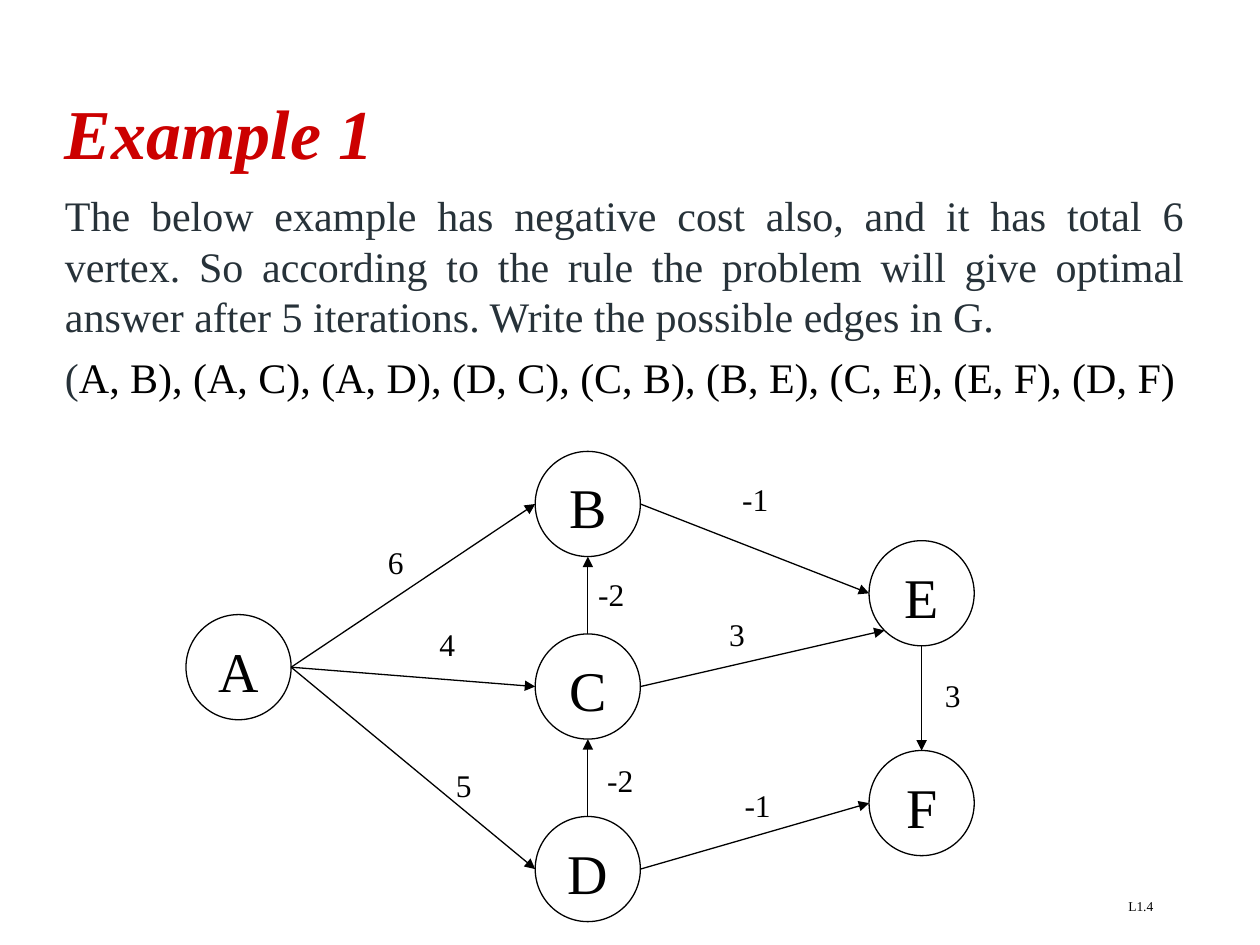
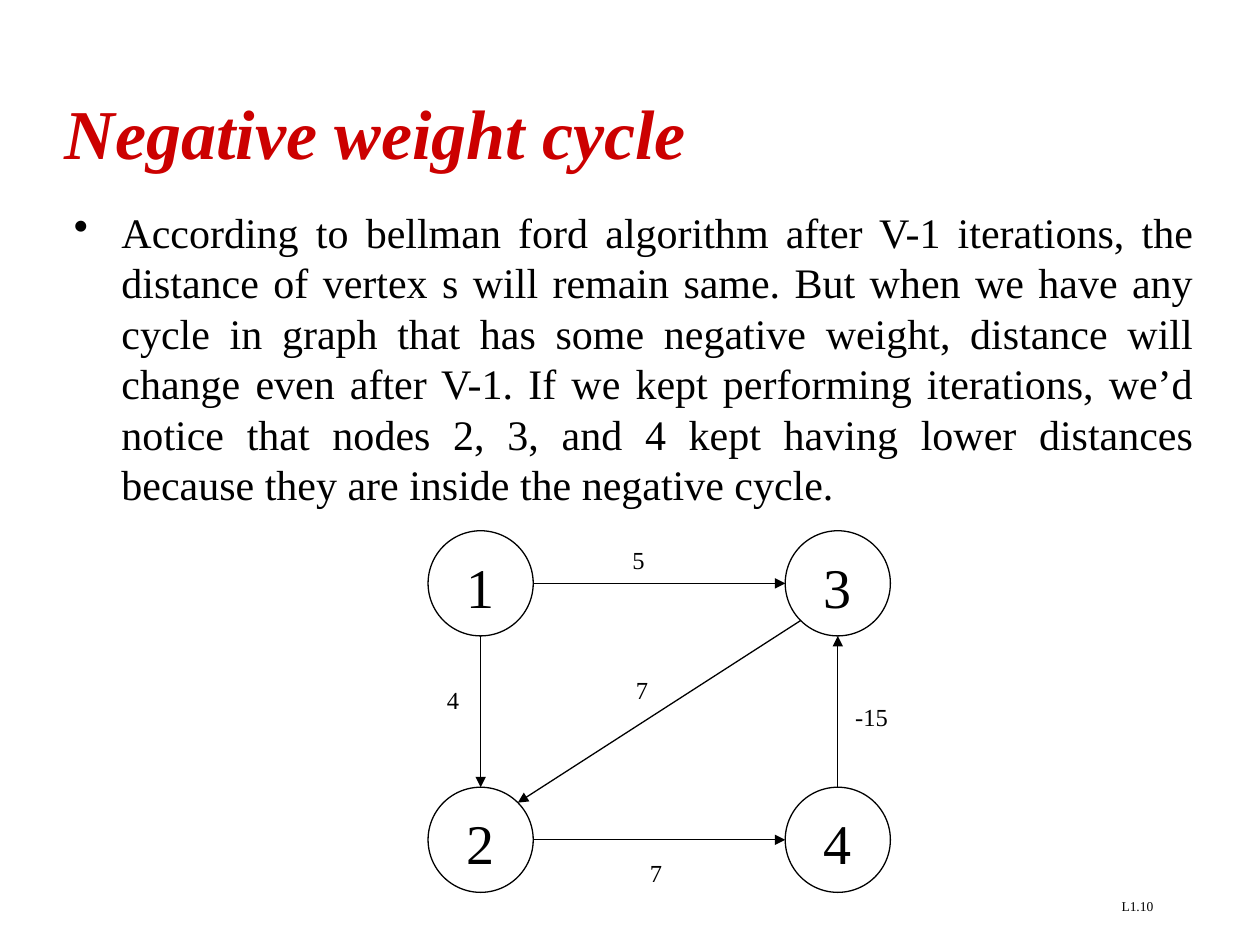
from math import cos, pi, sin

from lxml import etree
from pptx import Presentation
from pptx.dml.color import RGBColor
from pptx.enum.shapes import MSO_CONNECTOR, MSO_SHAPE
from pptx.enum.text import MSO_ANCHOR, PP_ALIGN
from pptx.oxml.ns import qn
from pptx.util import Cm, Pt

OVAL = MSO_SHAPE.OVAL
STRAIGHT = MSO_CONNECTOR.STRAIGHT
TOP, MIDDLE = MSO_ANCHOR.TOP, MSO_ANCHOR.MIDDLE
LEFT, RIGHT = PP_ALIGN.LEFT, PP_ALIGN.RIGHT
CENTER, JUSTIFY = PP_ALIGN.CENTER, PP_ALIGN.JUSTIFY

BLACK, RED, SLATE = "000000", "CC0000", "273239"
FACE = "Times New Roman"
SIZE = 2.12
STEP = 3.68
HEAD = {"size": Pt(40), "bold": True, "italic": True}
BODY = {"size": Pt(24)}
NAME = {"size": Pt(32)}
FOOT = {"size": Pt(7.7)}
N, W, SW, S, E, NE = 0, 2, 3, 4, 6, 7


def color(code):
    """Turn a hex string into a colour."""
    return RGBColor.from_string(code)


class Deck:
    """Hold the style and the current slide."""

    def __init__(self):
        """Start an empty deck."""
        self.prs = Presentation()
        self.prs.slide_width, self.prs.slide_height = Cm(25.4), Cm(19.05)
        self.slide = None
        self.nodes = {}

    def page(self, title, foot):
        """Add a slide with its title and page mark."""
        self.slide = self.prs.slides.add_slide(self.prs.slide_layouts[6])
        self.nodes = {}
        self.text((18.2, 17.98, 5.3, 0.64), [[(foot, BLACK)]], FOOT, RIGHT)
        self.text((1.06, 1.06, 23.7, 3.18), [[(title, RED)]], HEAD, LEFT, MIDDLE)

    def words(self, frame, paras, style, align, anchor=TOP):
        """Fill a text frame with paragraphs of coloured runs."""
        frame.word_wrap = True
        frame.vertical_anchor = anchor
        for i, runs in enumerate(paras):
            para = frame.paragraphs[0] if i == 0 else frame.add_paragraph()
            para.alignment = align
            if i:
                para.space_before = Pt(6)
            for part, shade in runs:
                run = para.add_run()
                run.text = part
                run.font.name = FACE
                run.font.color.rgb = color(shade)
                for key, value in style.items():
                    setattr(run.font, key, value)

    def text(self, area, paras, style, align=LEFT, anchor=TOP):
        """Add a text box and return its frame."""
        frame = self.slide.shapes.add_textbox(*map(Cm, area)).text_frame
        self.words(frame, paras, style, align, anchor)
        return frame

    def bullet(self, area, point):
        """Add a text box with one bulleted paragraph."""
        frame = self.text(area, [[(point, BLACK)]], BODY, JUSTIFY)
        props = frame.paragraphs[0]._p.get_or_add_pPr()
        props.set("marL", str(Cm(0.96)))
        props.set("indent", str(-Cm(0.96)))
        tint = etree.SubElement(props, qn("a:buClr"))
        etree.SubElement(tint, qn("a:srgbClr"), val=BLACK)
        etree.SubElement(props, qn("a:buChar"), char="•")

    def node(self, name, x, y):
        """Add a named circle centred on a point."""
        area = (x - SIZE / 2, y - SIZE / 2, SIZE, SIZE)
        shape = self.slide.shapes.add_shape(OVAL, *map(Cm, area))
        shape.shadow.inherit = False
        shape.fill.background()
        shape.line.color.rgb = color(BLACK)
        shape.line.width = Pt(0.75)
        self.words(shape.text_frame, [[(name, BLACK)]], NAME, CENTER)
        self.nodes[name] = shape, x, y

    def edge(self, start, end):
        """Join two (node, site) pairs, sites counted anticlockwise from the top."""
        spots = []
        for name, site in (start, end):
            x, y = self.nodes[name][1:]
            turn = site * pi / 4
            spots += [Cm(x - SIZE / 2 * sin(turn)), Cm(y - SIZE / 2 * cos(turn))]
        link = self.slide.shapes.add_connector(STRAIGHT, *spots)
        link.line.color.rgb = color(BLACK)
        link.line.width = Pt(0.75)
        look = link._element.spPr
        etree.SubElement(look.find(qn("a:ln")), qn("a:tailEnd"), type="triangle")
        etree.SubElement(look, qn("a:effectLst"))
        props = link._element.nvCxnSpPr.cNvCxnSpPr
        for tag, (name, site) in (("a:stCxn", start), ("a:endCxn", end)):
            shape = self.nodes[name][0]
            etree.SubElement(props, qn(tag), id=str(shape.shape_id), idx=str(site))

    def graph(self, nodes, edges, size):
        """Draw circles, then arrows with their weights."""
        for node in nodes:
            self.node(*node)
        for start, end, cost, x, y in edges:
            self.edge(start, end)
            area = (x, y, 0.8 + 0.3 * (len(cost) - 1), 1)
            self.text(area, [[(cost, BLACK)]], {"size": Pt(size)})


def main():
    """Build both slides."""
    deck = Deck()

    deck.page("Example 1", "L1.4")
    task = (
        "The below example has negative cost also, and it has total 6 vertex. "
        "So according to the rule the problem will give optimal answer after "
        "5 iterations. Write the possible edges in G."
    )
    pairs = "A, B), (A, C), (A, D), (D, C), (C, B), (B, E), (C, E), (E, F), (D, F)"
    paras = [[(task, SLATE)], [("(", SLATE), (pairs, BLACK)]]
    deck.text((1.06, 3.7, 23.07, 4.55), paras, BODY, JUSTIFY)
    nodes = [(name, 11.85, 10.16 + STEP * i) for i, name in enumerate("BCD")]
    nodes += [("A", 4.81, 13.45), ("E", 18.58, 11.96), ("F", 18.58, 16.19)]
    edges = [
        (("A", E), ("B", W), "6", 7.57, 10.82),
        (("A", E), ("C", W), "4", 8.61, 12.47),
        (("A", E), ("D", W), "5", 8.94, 15.32),
        (("D", N), ("C", S), "-2", 11.99, 15.21),
        (("C", N), ("B", S), "-2", 11.81, 11.46),
        (("B", E), ("E", W), "-1", 14.71, 9.55),
        (("D", E), ("F", W), "-1", 14.76, 15.72),
        (("C", E), ("E", SW), "3", 14.45, 12.27),
        (("E", S), ("F", N), "3", 18.8, 13.51),
    ]
    deck.graph(nodes, edges, 18)

    deck.page("Negative weight cycle", "L1.10")
    deck.bullet(
        (1.24, 4.04, 23.07, 6.35),
        "According to bellman ford algorithm after V-1 iterations, the distance "
        "of vertex s will remain same. But when we have any cycle in graph that "
        "has some negative weight, distance will change even after V-1. If we "
        "kept performing iterations, we’d notice that nodes 2, 3, and 4 kept "
        "having lower distances because they are inside the negative cycle.",
    )
    spots = [(x, y) for x in (9.69, 16.89) for y in (11.76, 16.93)]
    nodes = [(name, *spot) for name, spot in zip("1234", spots)]
    edges = [
        (("1", S), ("2", N), "4", 8.76, 13.69),
        (("1", E), ("3", W), "5", 12.5, 10.87),
        (("3", SW), ("2", NE), "7", 12.57, 13.49),
        (("2", E), ("4", W), "7", 12.85, 17.17),
        (("4", N), ("3", S), "-15", 16.99, 14.02),
    ]
    deck.graph(nodes, edges, 14)

    deck.prs.save("out.pptx")


if __name__ == "__main__":
    main()
